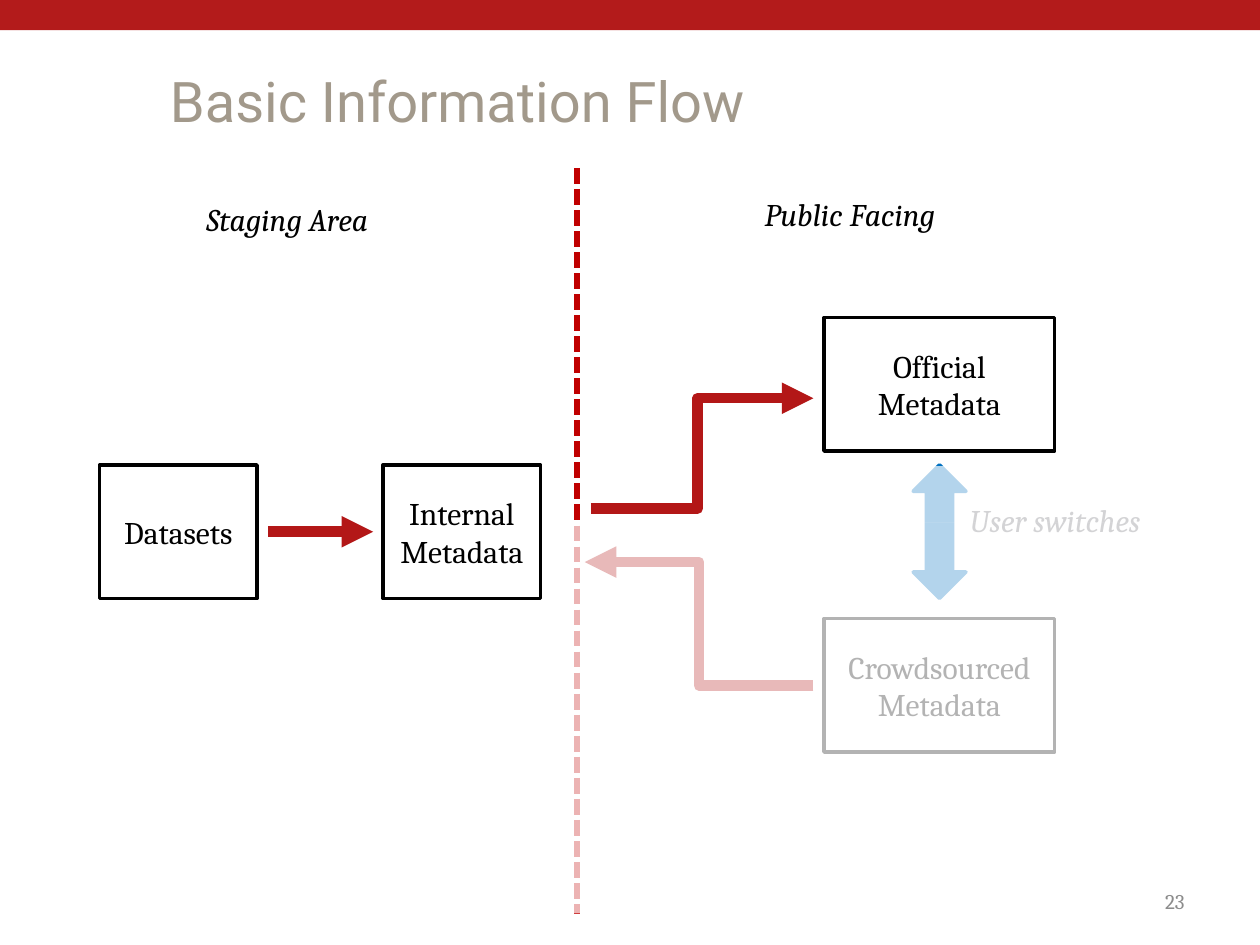
from dataclasses import dataclass

from lxml import etree
from pptx import Presentation
from pptx import util as u
from pptx.dml.color import RGBColor
from pptx.enum import dml, shapes, text
from pptx.oxml.ns import qn


@dataclass(frozen=True)
class Theme:
    heading: str = "Roboto"
    body: str = "Cambria"
    title_size: int = 32
    body_size: int = 18
    number_size: int = 12
    banner: str = "B31B1B"
    title: str = "A2998B"
    number: str = "8C8C8C"
    ink: str = "000000"
    muted: str = "6C6C73"
    paper: str = "FFFFFF"
    flow: str = "B31717"
    divider: str = "C00000"
    switch: str = "0070C0"
    outline: float = 2
    flow_width: float = 6
    divider_width: float = 3
    veil_alpha: int = 70


LEFT, CENTER, RIGHT = text.PP_ALIGN.LEFT, text.PP_ALIGN.CENTER, text.PP_ALIGN.RIGHT
TOP, MIDDLE = text.MSO_ANCHOR.TOP, text.MSO_ANCHOR.MIDDLE


class Deck:
    def __init__(self, theme, width, height):
        self.theme = theme
        self.prs = Presentation()
        self.prs.slide_width, self.prs.slide_height = u.Pt(width), u.Pt(height)
        self.s = self.prs.slides.add_slide(self.prs.slide_layouts[6])

    def set_text(self, sp, lines, align=CENTER, anchor=MIDDLE, color=None, **fmt):
        t = self.theme
        tf = sp.text_frame
        tf.word_wrap = True
        tf.vertical_anchor = anchor
        style = {"name": t.body, "size": u.Pt(t.body_size), **fmt}
        for i, line in enumerate(lines):
            p = tf.paragraphs[0] if i == 0 else tf.add_paragraph()
            p.alignment = align
            r = p.add_run()
            r.text = line
            for key, value in style.items():
                setattr(r.font, key, value)
            r.font.color.rgb = RGBColor.from_string(color or t.ink)

    def label(self, box, line, **fmt):
        sp = self.s.shapes.add_textbox(*map(u.Pt, box))
        self.set_text(sp, [line], **fmt)

    def shape(self, box, fill, line=None, kind=shapes.MSO_SHAPE.RECTANGLE):
        sp = self.s.shapes.add_shape(kind, *map(u.Pt, box))
        sp.shadow.inherit = False
        sp.fill.solid()
        sp.fill.fore_color.rgb = RGBColor.from_string(fill)
        if line:
            sp.line.color.rgb = RGBColor.from_string(line)
            sp.line.width = u.Pt(self.theme.outline)
        else:
            sp.line.fill.background()
        return sp

    def node(self, box, *lines):
        sp = self.shape(box, self.theme.paper, self.theme.ink)
        self.set_text(sp, lines)

    def veil(self, box):
        sp = self.shape(box, self.theme.paper)
        color = next(sp._element.spPr.iter(qn("a:srgbClr")))
        etree.SubElement(color, qn("a:alpha"), val=str(self.theme.veil_alpha * 1000))

    def line(self, start, end, color, width, kind=shapes.MSO_CONNECTOR.STRAIGHT):
        c = self.s.shapes.add_connector(kind, *map(u.Pt, (*start, *end)))
        c.line.color.rgb = RGBColor.from_string(color)
        c.line.width = u.Pt(width)
        etree.SubElement(c._element.spPr, qn("a:effectLst"))
        return c

    def flow(self, start, end, bend=None):
        kind = shapes.MSO_CONNECTOR.ELBOW if bend else shapes.MSO_CONNECTOR.STRAIGHT
        c = self.line(start, end, self.theme.flow, self.theme.flow_width, kind)
        spPr = c._element.spPr
        etree.SubElement(spPr.find(qn("a:ln")), qn("a:tailEnd"), type="triangle")
        if bend:
            guides = next(spPr.iter(qn("a:avLst")))
            etree.SubElement(guides, qn("a:gd"), name="adj1", fmla=f"val {round(bend * 100000)}")

    def divider(self, start, end):
        c = self.line(start, end, self.theme.divider, self.theme.divider_width)
        c.line.dash_style = dml.MSO_LINE.SQUARE_DOT


def main():
    t = Theme()
    deck = Deck(t, 720, 540)
    node_h, wide, narrow = 76.3, 131.8, 90
    public_x, staging_y = 470.9, 265.7
    staging_mid = staging_y + node_h / 2

    deck.shape((0, 0, 720, 17.3), t.banner)
    deck.label((90, 30.2, 630, 54), "Basic Information Flow", align=LEFT, anchor=MIDDLE,
               color=t.title, name=t.heading, size=u.Pt(t.title_size))
    deck.label((516, 500.4, 168, 28.8), "23", align=RIGHT,
               color=t.number, size=u.Pt(t.number_size))

    deck.node((public_x, 181.5, wide, node_h), "Official", "Metadata")
    deck.node((public_x, 353.5, wide, node_h), "Crowdsourced", "Metadata")
    deck.node((218.9, staging_y, narrow, node_h), "Internal", "Metadata")
    deck.node((56.9, staging_y, narrow, node_h), "Datasets")

    deck.flow((153.2, staging_mid), (213.2, staging_mid))
    deck.flow((464.8, 391.8), (334.2, 321.2), bend=0.5)
    deck.flow((337.7, 290.6), (464.8, 227.6), bend=0.48)

    for box, caption in (((88.6, 110.9, 151.2, 28.8), "Staging Area"),
                         ((412.6, 108, 146.2, 28.8), "Public Facing")):
        deck.label(box, caption, anchor=TOP, italic=True)

    deck.divider((329.8, 96), (329.8, 522))
    deck.shape((521.8, staging_y, 30.2, node_h), t.switch, t.switch,
               shapes.MSO_SHAPE.UP_DOWN_ARROW)
    deck.label((529.9, 283, 146.2, 28.8), "User switches", anchor=TOP,
               color=t.muted, italic=True)

    deck.veil((315.4, 298.4, 344.9, 223.6))
    deck.veil((468.7, 266.4, 203, 32))

    deck.prs.save("out.pptx")


if __name__ == "__main__":
    main()
